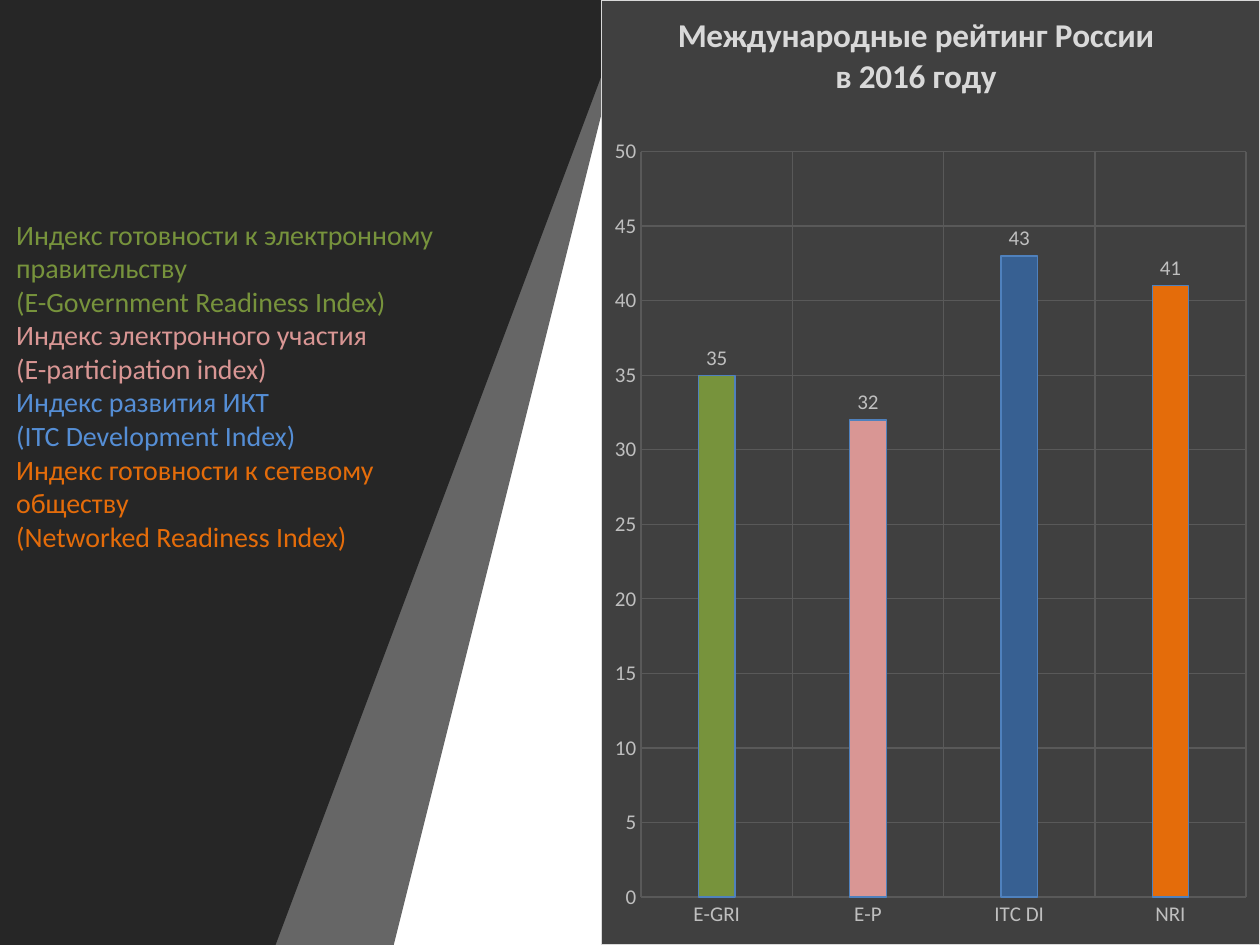
from lxml import etree
from pptx import Presentation
from pptx.chart.data import CategoryChartData
from pptx.dml.color import RGBColor
from pptx.enum.chart import XL_CHART_TYPE, XL_LABEL_POSITION, XL_TICK_MARK
from pptx.enum.text import MSO_ANCHOR
from pptx.oxml import parse_xml
from pptx.oxml.ns import nsdecls, qn
from pptx.util import Inches, Pt

COLUMNS = XL_CHART_TYPE.COLUMN_CLUSTERED
OUTSIDE = XL_LABEL_POSITION.OUTSIDE_END
NO_TICK = XL_TICK_MARK.NONE
MIDDLE = MSO_ANCHOR.MIDDLE

WIDTH, HEIGHT = 10, 7.5
FONT = "Calibri"
DARK, PANEL, GRID, LABEL, PALE = "262626", "404040", "595959", "BFBFBF", "D9D9D9"
BAR_LINE = "4F81BD"

INDEXES = [
    ("E-GRI", 35, "77933C", "77933C",
     ["Индекс готовности к электронному правительству", "(E-Government Readiness Index)"]),
    ("E-P", 32, "D99694", "D99694",
     ["Индекс электронного участия", "(E-participation index)"]),
    ("ITC DI", 43, "376092", "558ED5",
     ["Индекс развития ИКТ", "(ITC Development Index)"]),
    ("NRI", 41, "E46C0A", "E46C0A",
     ["Индекс готовности к сетевому обществу", "(Networked Readiness Index)"]),
]
CHART_TITLE = ["Международные рейтинг России", "в 2016 году"]
WEDGES = [(5.23, 1.75, 70), (4.9, 1.41, 100)]
WEDGE_FOOT = 0.88


def rgb(value):
    return RGBColor.from_string(value)


def style(font, size, color, bold=False):
    font.name, font.size, font.bold = FONT, Pt(size), bold
    font.color.rgb = rgb(color)


def write(para, lines, **look):
    for number, line in enumerate(lines):
        if number:
            para.add_line_break()
        span = para.add_run()
        span.text = line
        style(span.font, **look)


def add_wedge(page, top_right, bottom_left, opacity):
    builder = page.shapes.build_freeform(0, 0, scale=Inches(1))
    builder.add_line_segments([
        (top_right, 0), (bottom_left + WEDGE_FOOT, HEIGHT), (0, HEIGHT)])
    wedge = builder.convert_to_shape()
    wedge.shadow.inherit = False
    wedge.fill.solid()
    wedge.fill.fore_color.rgb = rgb(DARK)
    wedge.line.fill.background()
    if opacity < 100:
        color = wedge.fill._xPr.find(".//" + qn("a:srgbClr"))
        etree.SubElement(color, qn("a:alpha"), val=str(opacity * 1000))


def set_layout(element, **shares):
    old = element.find(qn("c:layout"))
    if old is not None:
        element.remove(old)
    target = '<c:layoutTarget val="inner"/>' if "w" in shares else ""
    modes = "".join(f'<c:{key}Mode val="edge"/>' for key in "xy")
    sizes = "".join(f'<c:{key} val="{share}"/>' for key, share in shares.items())
    layout = parse_xml(f'<c:layout {nsdecls("c")}><c:manualLayout>'
                       f'{target}{modes}{sizes}</c:manualLayout></c:layout>')
    text = element.find(qn("c:tx"))
    element.insert(0 if text is None else 1, layout)


def add_ratings_chart(page):
    data = CategoryChartData()
    data.categories = [index[0] for index in INDEXES]
    data.add_series("Series 1", [index[1] for index in INDEXES])
    chart = page.shapes.add_chart(
        COLUMNS, Inches(4.77), 0, Inches(5.23), Inches(HEIGHT), data).chart
    style(chart.font, 12, LABEL)
    chart.has_legend = False

    frame = parse_xml(
        f'<c:spPr {nsdecls("c", "a")}>'
        f'<a:solidFill><a:srgbClr val="{PANEL}"/></a:solidFill>'
        f'<a:ln w="{Pt(0.75)}"><a:solidFill><a:srgbClr val="{PALE}"/></a:solidFill></a:ln>'
        '</c:spPr>')
    chart._chartSpace.find(qn("c:chart")).addnext(frame)

    chart.has_title = True
    title = chart.chart_title.text_frame
    for number, line in enumerate(CHART_TITLE):
        para = title.add_paragraph() if number else title.paragraphs[0]
        write(para, [line], size=19, color=PALE, bold=True)
    chart.chart_title.include_in_layout = False
    set_layout(chart.chart_title._element, x=0.11, y=0.01)
    set_layout(chart._chartSpace.chart.plotArea, x=0.06, y=0.16, w=0.92, h=0.79)

    for axis in (chart.category_axis, chart.value_axis):
        axis.major_tick_mark = axis.minor_tick_mark = NO_TICK
        axis.format.line.fill.background()
        axis.has_major_gridlines = True
        grid = axis.major_gridlines.format.line
        grid.color.rgb, grid.width = rgb(GRID), Pt(0.75)
        style(axis.tick_labels.font, 12, LABEL)
    chart.value_axis.minimum_scale = 0
    chart.value_axis.maximum_scale = 50
    chart.value_axis.major_unit = 5

    plot = chart.plots[0]
    plot.gap_width, plot.overlap = 315, -40
    plot.vary_by_categories = False
    plot.has_data_labels = True
    labels = plot.data_labels
    labels.show_value, labels.position = True, OUTSIDE
    style(labels.font, 12, LABEL)
    for number, index in enumerate(INDEXES):
        bar = plot.series[0].points[number].format
        bar.fill.solid()
        bar.fill.fore_color.rgb = rgb(index[2])
        bar.line.color.rgb, bar.line.width = rgb(BAR_LINE), Pt(0.75)


def add_index_names(page):
    box = page.shapes.add_textbox(Inches(0.03), 0, Inches(3.86), Inches(6.11))
    frame = box.text_frame
    frame.word_wrap, frame.vertical_anchor = True, MIDDLE
    for number, (_, _, _, color, lines) in enumerate(INDEXES):
        para = frame.add_paragraph() if number else frame.paragraphs[0]
        write(para, lines, size=16, color=color)


def main():
    deck = Presentation()
    deck.slide_width, deck.slide_height = Inches(WIDTH), Inches(HEIGHT)
    page = deck.slides.add_slide(deck.slide_layouts[6])
    for wedge in WEDGES:
        add_wedge(page, *wedge)
    add_index_names(page)
    add_ratings_chart(page)
    deck.save("out.pptx")


if __name__ == "__main__":
    main()
